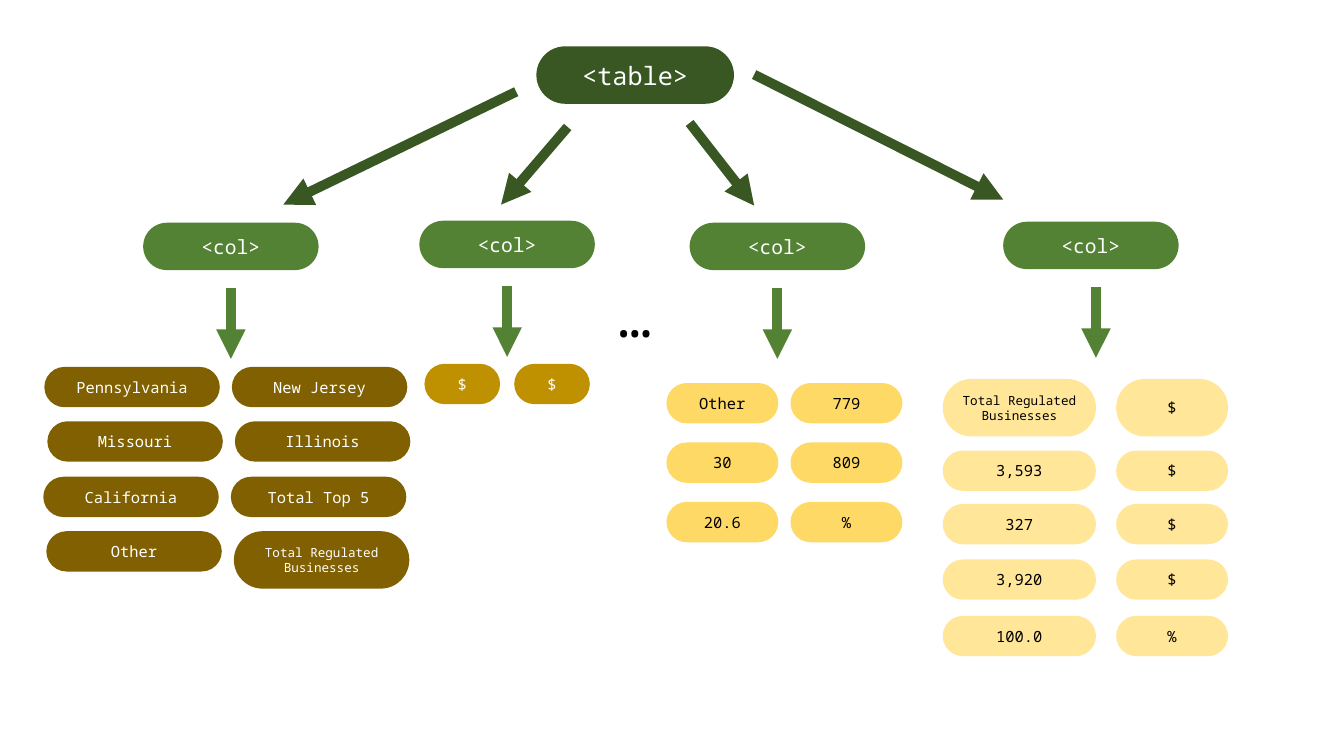
from lxml import etree
from pptx import Presentation
from pptx import util as u
from pptx.dml.color import RGBColor
from pptx.enum import shapes, text
from pptx.oxml.ns import qn

PX = 9144
FONT = "Noto Sans Mono"
HUES = {
    "root": "385723",
    "col": "548235",
    "brown": "806000",
    "gold": "BF9000",
    "amber": "FFD966",
    "cream": "FFE699",
    "white": "FFFFFF",
    "black": "000000",
}
TOTAL = "Total Regulated Businesses"


def px(n):
    return u.Emu(n * PX)


def hue(name):
    return RGBColor.from_string(HUES[name])


def write(shape, words, size=11, color="white"):
    frame = shape.text_frame
    frame.word_wrap = True
    frame.auto_size = text.MSO_AUTO_SIZE.SHAPE_TO_FIT_TEXT
    frame.vertical_anchor = text.MSO_ANCHOR.MIDDLE
    para = frame.paragraphs[0]
    para.alignment = text.PP_ALIGN.CENTER
    run = para.add_run()
    run.text = words
    run.font.name = FONT
    run.font.size = u.Pt(size)
    run.font.color.rgb = hue(color)


def pill(slide, words, box, fill=None, **style):
    shape = slide.shapes.add_shape(
        shapes.MSO_SHAPE.ROUNDED_RECTANGLE, *map(px, box))
    shape.adjustments[0] = 0.5
    shape.shadow.inherit = False
    shape.line.fill.background()
    if fill:
        shape.fill.solid()
        shape.fill.fore_color.rgb = hue(fill)
    else:
        shape.fill.background()
    write(shape, words, **style)


def arrow(slide, start, end, color):
    link = slide.shapes.add_connector(
        shapes.MSO_CONNECTOR.STRAIGHT, *map(px, start + end))
    link.line.width = u.Pt(7)
    link.line.color.rgb = hue(color)
    etree.SubElement(link.line._get_or_add_ln(), qn("a:tailEnd"), type="triangle")
    etree.SubElement(link._element.spPr, qn("a:effectLst"))


def grid(slide, rows, lefts, tops, wides, fill, color="white", shifts=None, tall=()):
    shifts = shifts or [0] * len(rows)
    for i, (row, top, shift) in enumerate(zip(rows, tops, shifts)):
        for j, (words, left, wide) in enumerate(zip(row, lefts, wides)):
            high = 57 if (i, j) in tall else 40
            size = 9 if words == TOTAL else 11
            pill(slide, words, (left + shift, top, wide, high), fill,
                 size=size, color=color)


def main():
    deck = Presentation()
    deck.slide_width, deck.slide_height = px(1333), px(750)
    slide = deck.slides.add_slide(deck.slide_layouts[6])

    pill(slide, "<table>", (532, 46, 196, 57), "root", size=18)
    for start, end in [
        ((512, 91), (281, 203)),
        ((563, 126), (497, 203)),
        ((684, 122), (748, 204)),
        ((748, 74), (995, 198)),
    ]:
        arrow(slide, start, end, "root")

    for left, top, mid in [
        (142, 221, 229), (416, 219, 503), (684, 221, 771), (995, 220, 1087),
    ]:
        pill(slide, "<col>", (left, top, 174, 47), "col", size=14)
        arrow(slide, (mid, top + 65), (mid, top + 135), "col")
    pill(slide, "…", (561, 258, 139, 109), size=40, color="black")

    states = [
        ("Pennsylvania", "New Jersey"),
        ("Missouri", "Illinois"),
        ("California", "Total Top 5"),
        ("Other", TOTAL),
    ]
    grid(slide, states, (44, 230), [364, 418, 473, 527], (174, 174), "brown",
         shifts=[0, 3, -1, 2], tall={(3, 1)})
    grid(slide, [("$", "$")], (421, 510), [361], (75, 75), "gold")
    counts = [("Other", "779"), ("30", "809"), ("20.6", "%")]
    grid(slide, counts, (661, 784), [380, 439, 498], (111, 111), "amber", "black")
    totals = [(TOTAL, "$"), ("3,593", "$"), ("327", "$"), ("3,920", "$"), ("100.0", "%")]
    grid(slide, totals, (935, 1107), [376, 447, 500, 555, 611], (152, 111),
         "cream", "black", tall={(0, 0), (0, 1)})

    deck.save("out.pptx")


if __name__ == "__main__":
    main()
